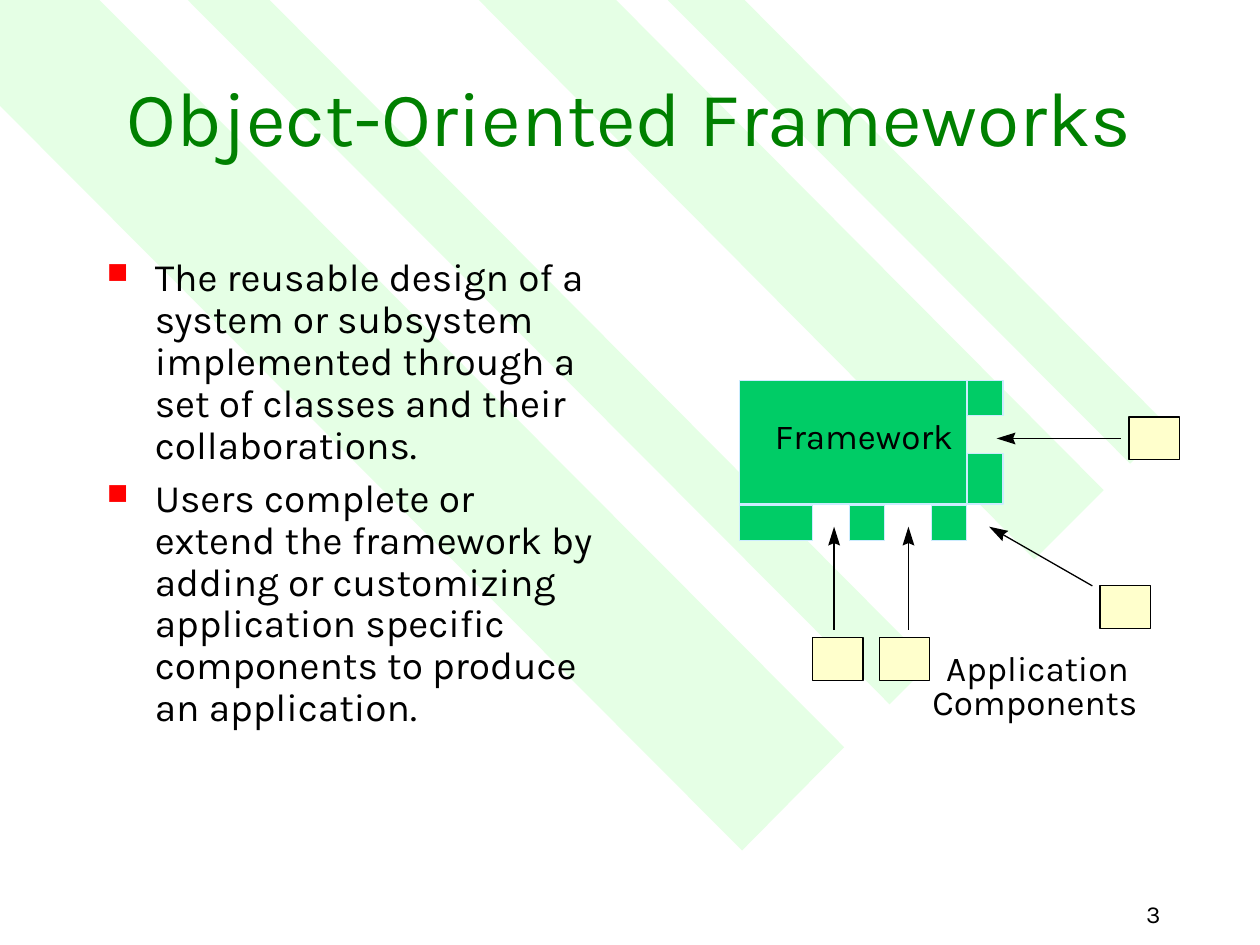
from math import hypot

from lxml.etree import SubElement
from pptx import Presentation
from pptx.dml.color import RGBColor
from pptx.enum.shapes import MSO_CONNECTOR, MSO_SHAPE
from pptx.enum.text import MSO_ANCHOR as Anchor, PP_ALIGN as Align
from pptx.oxml.ns import qn
from pptx.util import Inches, Pt

# The slide is a grid of 100 columns and 75 rows
CELL = Inches(0.1)
COLUMNS, ROWS = 100, 75
FONT = "Karla"
COLORS = {
    "band": "CCFFCC", "title": "008000", "text": "000000", "bullet": "FF0000",
    "framework": "00CC66", "framework_edge": "CCECFF",
    "component": "FFFFCC", "edge": "000000",
}

BANDS = [
    [(67, 59.3), (7.9, 0), (0, 0), (0, 8.4), (58.9, 67.5)],
    [(21.4, 0), (73.8, 52.7), (70.6, 55.9), (14.9, 0)],
    [(48.9, 0), (87.6, 38.9), (82.1, 44.4), (38, 0)],
    [(53, 0), (89.7, 36.8), (92.7, 33.8), (59.1, 0)],
]
POINTS = [
    "The reusable design of a system or subsystem implemented through a set "
    "of classes and their collaborations.",
    "Users complete or extend the framework by adding or customizing "
    "application specific components to produce an application.",
]
# Main block, then the teeth below it and to its right
FRAMEWORK = [
    (58.7, 30.2, 18, 9.8),
    (58.7, 40.1, 5.8, 2.8), (67.4, 40.1, 2.8, 2.8), (73.9, 40.1, 2.8, 2.8),
    (76.8, 30.2, 2.8, 2.8), (76.8, 36, 2.8, 4),
]
COMPONENTS = [(87.3, 46.5), (89.6, 33.1), (69.8, 50.6), (64.5, 50.6)]
COMPONENT_SIZE = (4, 3.4)
# Tail and tip of each arrow from a component to a gap in the framework
ARROWS = [
    ((89, 34.8), (79.1, 34.8)),
    ((86.7, 46.5), (78.5, 41.8)),
    ((72.1, 50), (72.1, 41.8)),
    ((66.2, 50), (66.2, 41.8)),
]
LABELS = [
    ("Framework", (61.5, 32.9, 14.8, 3.3)),
    ("Application", (75.1, 51.3, 14.7, 3.3)),
    ("Components", (74, 54, 16.8, 3.3)),
]


def grid(*cells):
    return [round(cell * CELL) for cell in cells]


def color(name):
    return RGBColor.from_string(COLORS[name])


def add_outline(slide, corners, fill, opacity=100):
    start, *others = [grid(*corner) for corner in corners]
    builder = slide.shapes.build_freeform(*start)
    builder.add_line_segments(others, close=True)
    outline = builder.convert_to_shape()
    outline.shadow.inherit = False
    outline.fill.solid()
    outline.fill.fore_color.rgb = color(fill)
    outline.line.fill.background()
    if opacity < 100:
        srgb = outline.fill._xPr.find(".//" + qn("a:srgbClr"))
        SubElement(srgb, qn("a:alpha"), val=str(opacity * 1000))


def add_block(slide, area, fill, edge):
    block = slide.shapes.add_shape(MSO_SHAPE.RECTANGLE, *grid(*area))
    block.shadow.inherit = False
    block.fill.solid()
    block.fill.fore_color.rgb = color(fill)
    block.line.color.rgb = color(edge)
    block.line.width = Pt(0.75)


def add_arrow(slide, tail, tip):
    length = hypot(tip[0] - tail[0], tip[1] - tail[1])
    ux, uy = (tip[0] - tail[0]) / length, (tip[1] - tail[1]) / length

    def from_tip(back, side):
        return tip[0] - back * ux - side * uy, tip[1] - back * uy + side * ux

    shaft = slide.shapes.add_connector(
        MSO_CONNECTOR.STRAIGHT, *grid(*from_tip(1.1, 0), *tail))
    shaft.line.color.rgb = color("edge")
    shaft.line.width = Pt(0.75)
    SubElement(shaft._element.spPr, qn("a:effectLst"))
    # Notched head, larger than a line end allows
    head = [(0, 0), (1.5, 0.47), (1.3, 0), (1.5, -0.47)]
    add_outline(slide, [from_tip(*corner) for corner in head], "edge")


def add_text(slide, area, paragraphs, size, fill="text", align=Align.LEFT,
             anchor=Anchor.TOP, wrap=True, inset=True):
    frame = slide.shapes.add_textbox(*grid(*area)).text_frame
    frame.word_wrap = wrap
    frame.vertical_anchor = anchor
    if not inset:
        frame.margin_left = frame.margin_right = 0
        frame.margin_top = frame.margin_bottom = 0
    for index, words in enumerate(paragraphs):
        paragraph = frame.add_paragraph() if index else frame.paragraphs[0]
        paragraph.alignment = align
        run = paragraph.add_run()
        run.text = words
        run.font.name = FONT
        run.font.size = Pt(size)
        run.font.color.rgb = color(fill)
    return frame


def add_bullets(slide, area, points):
    frame = add_text(slide, area, points, 22.2)
    for index, paragraph in enumerate(frame.paragraphs):
        props = paragraph._p.get_or_add_pPr()
        props.set("marL", str(Inches(0.38)))
        props.set("indent", str(-Inches(0.38)))
        bullet_color = SubElement(props, qn("a:buClr"))
        SubElement(bullet_color, qn("a:srgbClr"), val=COLORS["bullet"])
        SubElement(props, qn("a:buSzPct"), val="75000")
        SubElement(props, qn("a:buChar"), char="■")
        paragraph.line_spacing = 0.9
        paragraph.space_before = Pt(6 if index else 0)


def main():
    deck = Presentation()
    deck.slide_width, deck.slide_height = grid(COLUMNS, ROWS)
    slide = deck.slides.add_slide(deck.slide_layouts[6])

    # Diagonal background bands
    for corners in BANDS:
        add_outline(slide, corners, "band", opacity=50)

    # Title and points
    add_text(slide, (7.5, 2.5, 85, 13.3), ["Object-Oriented Frameworks"], 44,
             "title", Align.CENTER, Anchor.MIDDLE)
    add_bullets(slide, (7.5, 20, 40.8, 45), POINTS)

    # Framework diagram
    for area in FRAMEWORK:
        add_block(slide, area, "framework", "framework_edge")
    for tail, tip in ARROWS:
        add_arrow(slide, tail, tip)
    for corner in COMPONENTS:
        add_block(slide, corner + COMPONENT_SIZE, "component", "edge")
    for words, area in LABELS:
        add_text(slide, area, [words], 20, wrap=False, inset=False)

    # Slide number
    add_text(slide, (72.3, 70, 20.8, 5), ["3"], 14,
             align=Align.RIGHT, anchor=Anchor.MIDDLE)

    deck.save("out.pptx")


if __name__ == "__main__":
    main()
